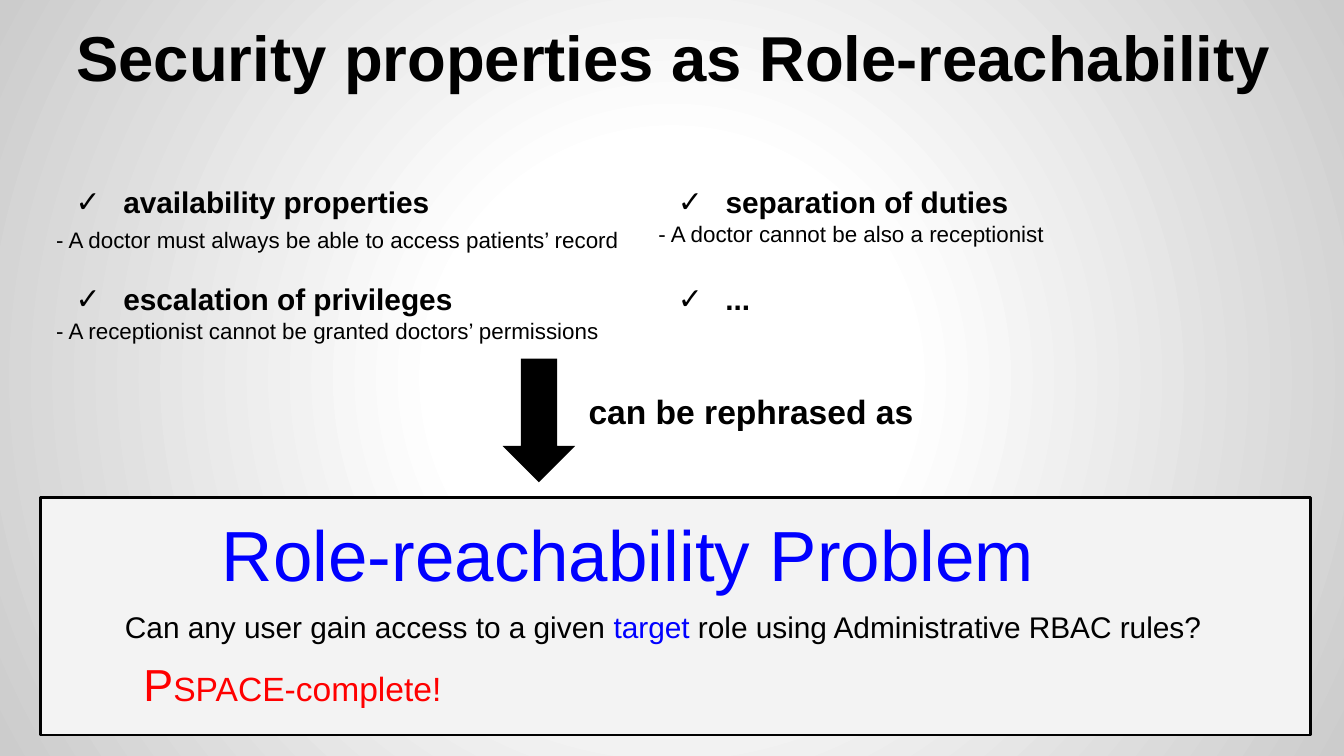
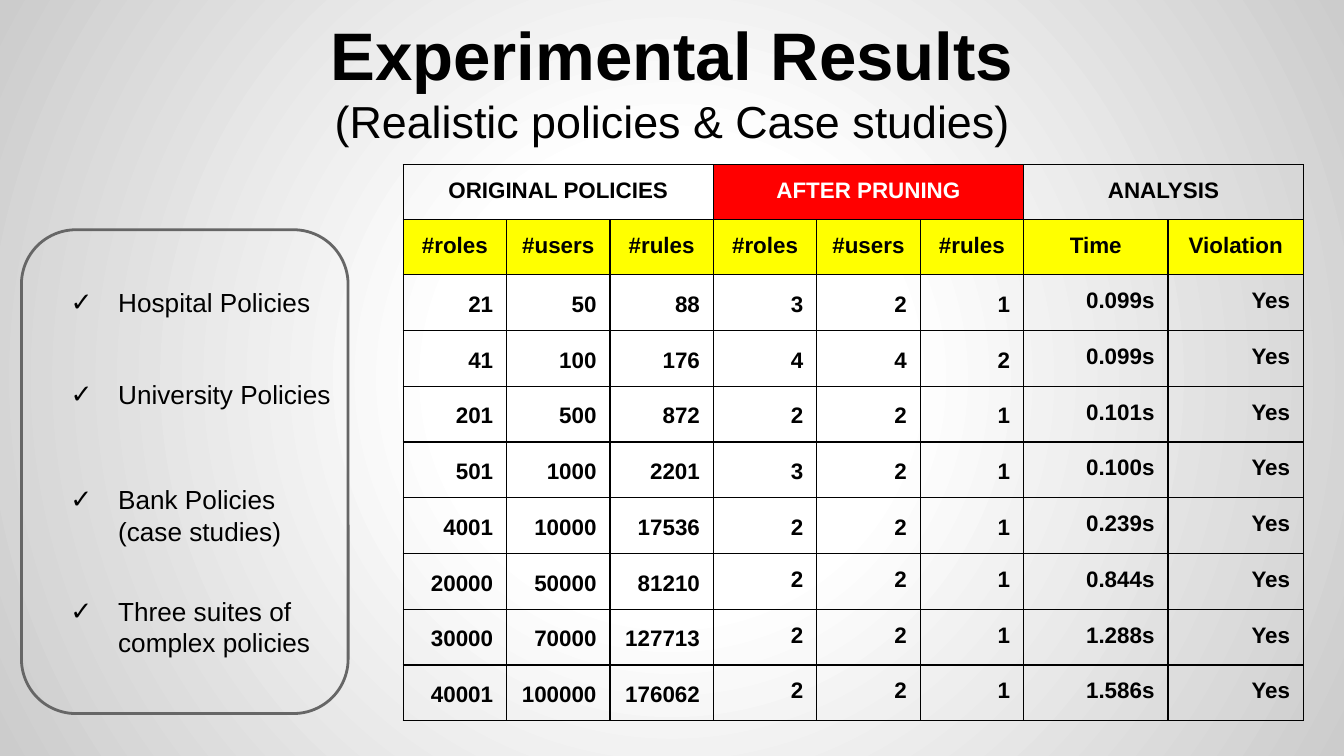
"""Builds two slides on role-reachability and its experimental results."""
import pptx
import pptx.dml.color
import pptx.enum.shapes
import pptx.enum.text
import pptx.oxml
import pptx.oxml.ns
import pptx.util

Pt = pptx.util.Pt
ALIGN = pptx.enum.text.PP_ALIGN
SHAPE = pptx.enum.shapes.MSO_SHAPE


class Theme:
    font = "Arial"
    black, white, blue, red = "000000", "FFFFFF", "0000FF", "FF0000"
    yellow, panel, outline, edge = "FFFF00", "F3F3F3", "666666", "CCCCCC"
    problem, results, title, large = 38, 36, 34, 24
    medium, body, item, small = 18, 16, 14, 12
    inset, line, border = 7.2, 1.5, 0.75
    margin, hang = 36, -25.5


PROPERTIES = [
    ("availability properties", "- A doctor must always be able to access patients’ record",
     (381.6, 59.8), dict(spacing=0.9, before=5)),
    ("separation of duties", "- A doctor cannot be also a receptionist", (303.8, 54.7), {}),
    ("escalation of privileges", "- A receptionist cannot be granted doctors’ permissions",
     (381.6, 46.8), {}),
    ("...", None, (381.6, 46.8), {}),
]
PROPERTY_LEFT, PROPERTY_TOP = (23, 345.6), (91.4, 143.3)

STATEMENTS = [
    ((36, 319, 638.6, 36),
     [("Can any user gain access to a given ", {}), ("target ", dict(color=Theme.blue)),
      ("role using Administrative RBAC rules?", {})],
     dict(size=Theme.body, align=ALIGN.CENTER)),
    ((95.8, 266.4, 481.7, 49.7), "Role-reachability Problem",
     dict(size=Theme.problem, color=Theme.blue, align=ALIGN.CENTER)),
    ((69.8, 344.9, 638.6, 36), [("P", dict(size=Theme.large)), ("SPACE-complete!", {})],
     dict(size=Theme.medium, color=Theme.red)),
    ((308.2, 202.3, 234.7, 36), "can be rephrased as", dict(size=Theme.medium, bold=True)),
]

POLICIES = [
    (146.2, 188.6, 31, ["Hospital Policies"]),
    (195.8, 188.6, 31, ["University Policies"]),
    (252, 170.6, 41.8, ["Bank Policies", "(case studies)"]),
    (311.8, 185, 49, ["Three suites of", "complex policies"]),
]

GROUPS = [
    ("ORIGINAL POLICIES", 0, 2, None, Theme.black),
    ("AFTER PRUNING", 3, 5, Theme.red, Theme.white),
    ("ANALYSIS", 6, 7, None, Theme.black),
]
COLUMNS = ["#roles", "#users", "#rules"] * 2 + ["Time", "Violation"]
RESULTS = [
    (21, 50, 88, 3, 2, 1, "0.099s", "Yes"),
    (41, 100, 176, 4, 4, 2, "0.099s", "Yes"),
    (201, 500, 872, 2, 2, 1, "0.101s", "Yes"),
    (501, 1000, 2201, 3, 2, 1, "0.100s", "Yes"),
    (4001, 10000, 17536, 2, 2, 1, "0.239s", "Yes"),
    (20000, 50000, 81210, 2, 2, 1, "0.844s", "Yes"),
    (30000, 70000, 127713, 2, 2, 1, "1.288s", "Yes"),
    (40001, 100000, 176062, 2, 2, 1, "1.586s", "Yes"),
]
COLUMN_WIDTHS = [55.4] * 6 + [77.4, 72.6]
ROW_HEIGHTS = [29.5] * 2 + [29] * 7 + [19.5]


def rgb(color):
    return pptx.dml.color.RGBColor.from_string(color)


def points(*values):
    return [Pt(v) for v in values]


def xml(tag, attrs="", inner=""):
    ns = pptx.oxml.ns.nsdecls("a")
    return pptx.oxml.parse_xml(f"<a:{tag} {ns} {attrs}>{inner}</a:{tag}>")


def solid(color):
    return f'<a:srgbClr val="{color}"/>'


def write(tf, text, size=Theme.body, color=Theme.black, bold=False, align=ALIGN.LEFT,
          spacing=None, before=None, bullet=False, margin=0, indent=0):
    p = tf.add_paragraph() if tf.text else tf.paragraphs[0]
    p.alignment = align
    if spacing:
        p.line_spacing = spacing
    if before:
        p.space_before = Pt(before)
    for part, look in [(text, {})] if isinstance(text, str) else text:
        r = p.add_run()
        r.text = part
        r.font.name = Theme.font
        r.font.size = Pt(look.get("size", size))
        r.font.bold = bold
        r.font.color.rgb = rgb(look.get("color", color))
    if bullet:
        margin, indent = Theme.margin, Theme.hang
    pPr = p._p.get_or_add_pPr()
    pPr.set("marL", str(Pt(margin)))
    pPr.set("indent", str(Pt(indent)))
    if bullet:
        pPr.append(xml("buClr", inner=solid(Theme.black)))
        pPr.append(xml("buFont", f'typeface="{Theme.font}"'))
        pPr.append(xml("buChar", 'char="✓"'))


def set_frame(tf):
    tf.word_wrap = True
    tf.auto_size = pptx.enum.text.MSO_AUTO_SIZE.NONE
    tf.margin_left = tf.margin_right = tf.margin_top = tf.margin_bottom = Pt(Theme.inset)
    return tf


def add_box(slide, box):
    return set_frame(slide.shapes.add_textbox(*points(*box)).text_frame)


def add_shape(slide, kind, box, fill=None, line=None):
    sp = slide.shapes.add_shape(kind, *points(*box))
    sp.shadow.inherit = False
    if fill:
        sp.fill.solid()
        sp.fill.fore_color.rgb = rgb(fill)
    else:
        sp.fill.background()
    if line:
        sp.line.color.rgb = rgb(line)
        sp.line.width = Pt(Theme.line)
    else:
        sp.line.fill.background()


def set_background(prs):
    master = prs.slide_master
    master.background.fill.gradient()
    old = master.element.xpath(".//p:bgPr/a:gradFill")[0]
    stops = [(0, Theme.white), (30, Theme.white), (100, Theme.edge)]
    inner = "".join(f'<a:gs pos="{pos * 1000}">{solid(c)}</a:gs>' for pos, c in stops)
    center = '<a:fillToRect l="50000" t="50000" r="50000" b="50000"/>'
    new = xml("gradFill", inner=f'<a:gsLst>{inner}</a:gsLst><a:path path="circle">{center}</a:path>')
    old.getparent().replace(old, new)


def add_slide(prs, box):
    slide = prs.slides.add_slide(prs.slide_layouts[5])
    sp = slide.shapes.title
    sp.left, sp.top, sp.width, sp.height = points(*box)
    tf = set_frame(sp.text_frame)
    tf.vertical_anchor = pptx.enum.text.MSO_ANCHOR.BOTTOM
    return slide, tf


def style_cell(cell, fill=None):
    cell.margin_left = cell.margin_right = Pt(Theme.inset)
    cell.margin_top = cell.margin_bottom = Pt(Theme.inset)
    tcPr = cell._tc.get_or_add_tcPr()
    for side in ("lnL", "lnR", "lnT", "lnB"):
        tcPr.append(xml(side, f'w="{Pt(Theme.border)}"',
                        f"<a:solidFill>{solid(Theme.black)}</a:solidFill>"))
    if fill:
        cell.fill.solid()
        cell.fill.fore_color.rgb = rgb(fill)
    else:
        cell.fill.background()


def add_results(slide):
    box = points(216, 88.2, sum(COLUMN_WIDTHS), sum(ROW_HEIGHTS))
    table = slide.shapes.add_table(len(ROW_HEIGHTS), len(COLUMNS), *box).table
    table.first_row = table.horz_banding = False
    for column, width in zip(table.columns, COLUMN_WIDTHS):
        column.width = Pt(width)
    for row, height in zip(table.rows, ROW_HEIGHTS):
        row.height = Pt(height)
    look = dict(size=Theme.small, bold=True)
    for text, first, last, fill, color in GROUPS:
        for c in range(first, last + 1):
            style_cell(table.cell(0, c), fill)
        table.cell(0, first).merge(table.cell(0, last))
        write(table.cell(0, first).text_frame, text, color=color, align=ALIGN.CENTER, **look)
    for c, text in enumerate(COLUMNS):
        style_cell(table.cell(1, c), Theme.yellow)
        write(table.cell(1, c).text_frame, text, align=ALIGN.CENTER, **look)
    for r, values in enumerate(RESULTS):
        for c, value in enumerate(values):
            cell = table.cell(r + 2, c)
            style_cell(cell)
            loose = c < 3 or (c < 6 and r < 5)
            write(cell.text_frame, str(value), align=ALIGN.RIGHT,
                  spacing=1.15 if loose else None, **look)


def build_reachability(prs):
    slide, title = add_slide(prs, (33.8, 7.9, 710.6, 49.7))
    write(title, "Security properties as Role-reachability", size=Theme.title, bold=True)
    add_shape(slide, SHAPE.RECTANGLE, (21.6, 266.4, 680.4, 127.4), Theme.panel, Theme.black)
    for i, (name, example, size, look) in enumerate(PROPERTIES):
        tf = add_box(slide, (PROPERTY_LEFT[i % 2], PROPERTY_TOP[i // 2], *size))
        write(tf, name, bold=True, bullet=True)
        if example:
            write(tf, example, size=Theme.small, **look)
    add_shape(slide, SHAPE.DOWN_ARROW, (269.3, 192.2, 38.9, 66.2), Theme.black)
    for box, text, look in STATEMENTS:
        write(add_box(slide, box), text, **look)


def build_results(prs):
    slide, title = add_slide(prs, (36, 0, 648, 86.4))
    write(title, "Experimental Results", size=Theme.results, bold=True, align=ALIGN.CENTER)
    write(title, "(Realistic policies & Case studies)", size=Theme.large, align=ALIGN.CENTER)
    add_shape(slide, SHAPE.ROUNDED_RECTANGLE, (11.5, 123.1, 175, 259.2), line=Theme.outline)
    add_results(slide)
    for top, width, height, (name, *rest) in POLICIES:
        tf = add_box(slide, (20.2, top, width, height))
        write(tf, name, size=Theme.item, bullet=True)
        for text in rest:
            write(tf, text, size=Theme.item, indent=Theme.margin)


def main():
    prs = pptx.Presentation()
    prs.slide_width, prs.slide_height = points(720, 405)
    set_background(prs)
    build_reachability(prs)
    build_results(prs)
    prs.save("out.pptx")


if __name__ == "__main__":
    main()
